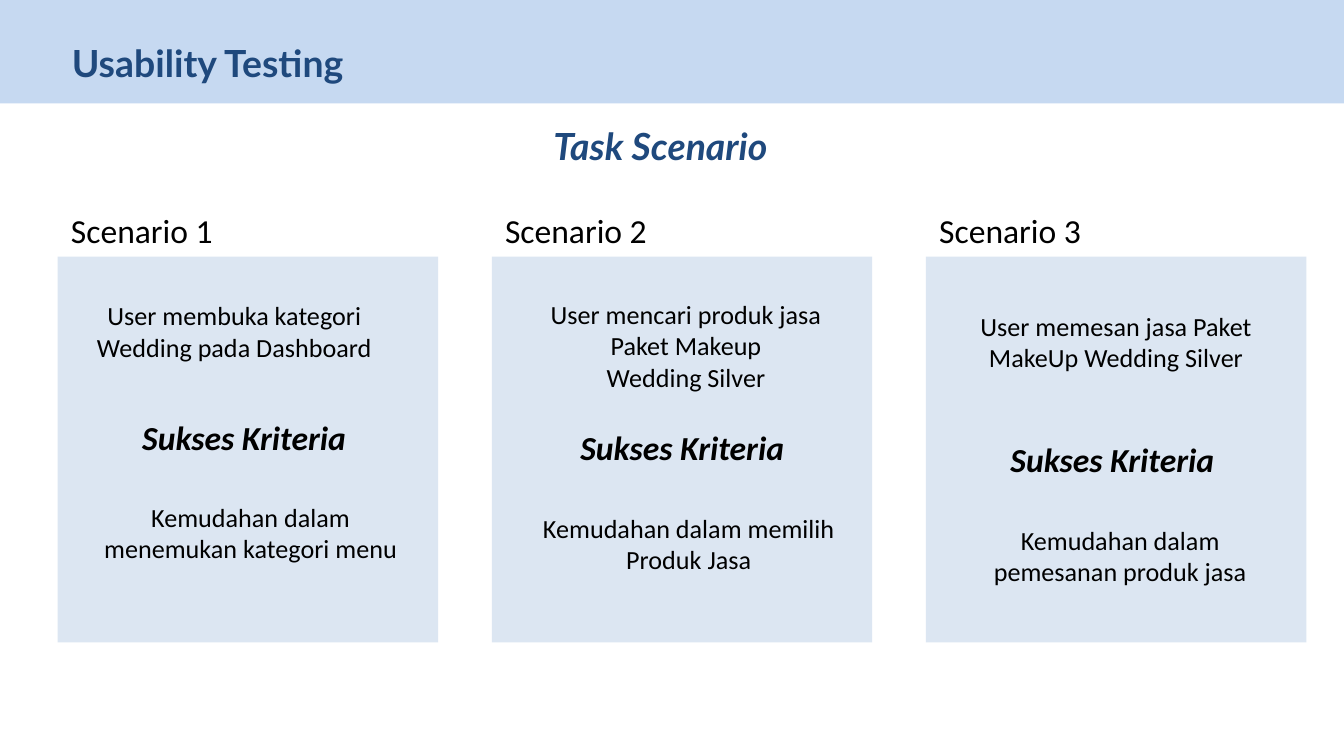
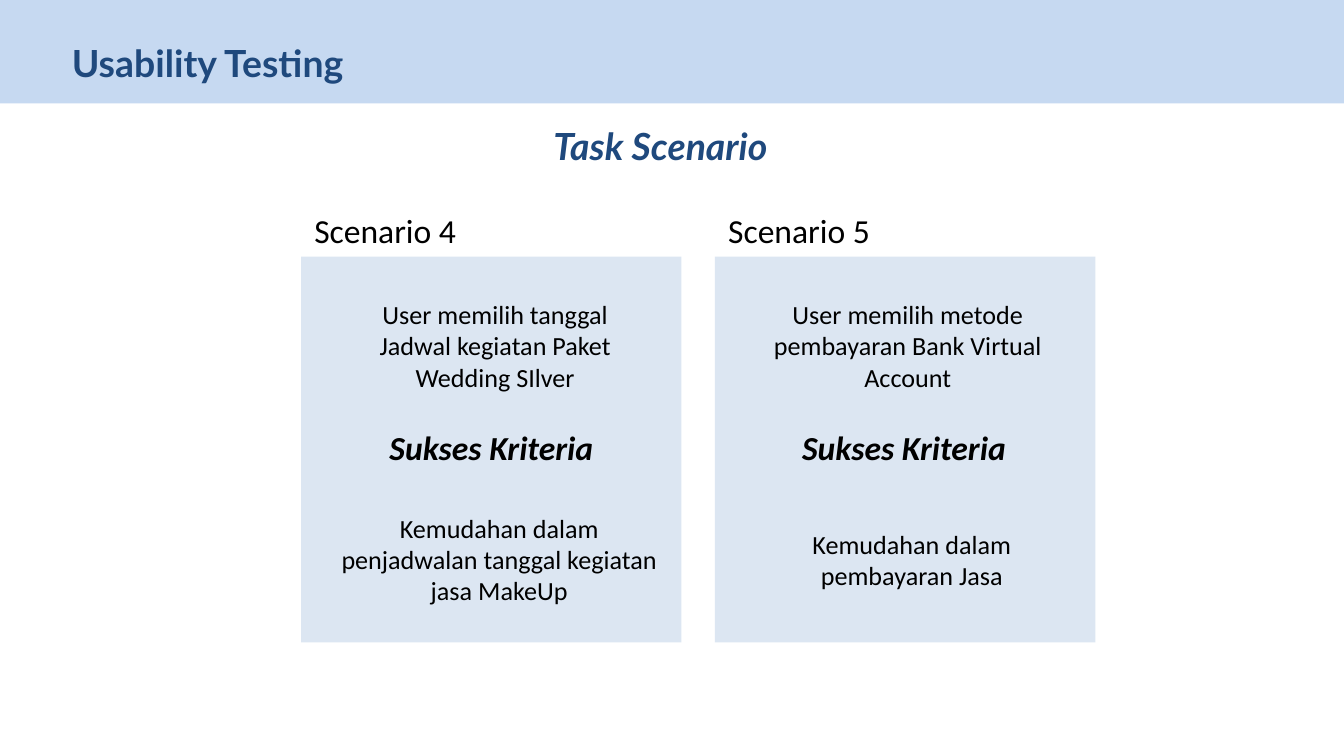
from pptx import Presentation
from pptx.dml.color import RGBColor
from pptx.enum.shapes import MSO_SHAPE as SHAPE
from pptx.enum.text import MSO_AUTO_SIZE as AUTO, PP_ALIGN as ALIGN
from pptx.util import Inches, Pt

BAND, CARD, NAVY, BLACK = "C6D9F1", "DCE6F2", "1F497D", "000000"
TITLE = {"name": "Lato", "size": Pt(20), "bold": True}
SUBTITLE = {**TITLE, "italic": True}
LABEL = {"name": "Calibri", "size": Pt(18)}
HEADING = {**LABEL, "bold": True, "italic": True}
BODY = {"name": "Calibri", "size": Pt(14)}
CARD_TOP, CARD_W, CARD_H = 1.91, 2.83, 2.87
LABEL_H = 0.4

# Each slide: left of the first card, step between cards, cards.
# Each card: label, then (x offset in card, top, width, height, lines) of
# the task, (x offset, top) of the heading, and the criterion like the task.
SLIDES = [
    (0.43, 3.23, [
        ("Scenario 1",
         (0.18, 2.18, 2.27, 0.57, ["User membuka kategori", "Wedding pada Dashboard"]),
         (0.53, 3.05),
         (0.14, 3.68, 2.59, 0.57, ["Kemudahan dalam menemukan kategori menu"])),
        ("Scenario 2",
         (0.13, 2.17, 2.63, 0.81, ["User mencari produk jasa Paket Makeup", "Wedding Silver"]),
         (0.56, 3.13),
         (0.17, 3.76, 2.59, 0.57, ["Kemudahan dalam memilih Produk Jasa"])),
        ("Scenario 3",
         (0.10, 2.26, 2.63, 0.57, ["User memesan jasa Paket MakeUp Wedding Silver"]),
         (0.53, 3.22),
         (0.15, 3.85, 2.59, 0.57, ["Kemudahan dalam pemesanan produk jasa"])),
    ]),
    (2.24, 3.08, [
        ("Scenario 4",
         (0.13, 2.17, 2.63, 0.81, ["User memilih tanggal", "Jadwal kegiatan Paket Wedding SIlver"]),
         (0.56, 3.13),
         (0.18, 3.76, 2.59, 0.81, ["Kemudahan dalam penjadwalan tanggal kegiatan jasa MakeUp"])),
        ("Scenario 5",
         (0.12, 2.17, 2.63, 0.81, ["User memilih metode pembayaran Bank Virtual Account"]),
         (0.55, 3.13),
         (0.17, 3.88, 2.59, 0.57, ["Kemudahan dalam pembayaran Jasa"])),
    ]),
]


def add_rect(s, x, y, w, h, color):
    sp = s.shapes.add_shape(SHAPE.RECTANGLE, Inches(x), Inches(y), Inches(w), Inches(h))
    sp.shadow.inherit = False
    sp.fill.solid()
    sp.fill.fore_color.rgb = RGBColor.from_string(color)
    sp.line.fill.background()


def add_text(s, x, y, w, h, lines, fmt, color=BLACK, align=ALIGN.LEFT, wrap=True, after=0):
    tf = s.shapes.add_textbox(Inches(x), Inches(y), Inches(w), Inches(h)).text_frame
    tf.word_wrap = wrap
    tf.auto_size = AUTO.SHAPE_TO_FIT_TEXT
    for i, line in enumerate(lines):
        p = tf.add_paragraph() if i else tf.paragraphs[0]
        p.alignment = align
        p.space_after = Pt(after)
        r = p.add_run()
        r.text = line
        for key, value in fmt.items():
            setattr(r.font, key, value)
        r.font.color.rgb = RGBColor.from_string(color)


prs = Presentation()
prs.slide_width = Inches(10)
prs.slide_height = prs.slide_width * 9 // 16

for first_left, step, cards in SLIDES:
    s = prs.slides.add_slide(prs.slide_layouts[6])
    add_rect(s, 0, 0, 10, 0.77, BAND)
    add_text(s, -1.41, 0.25, 5.91, 0.44, ["Usability Testing"], TITLE, NAVY, ALIGN.CENTER, after=6)
    add_text(s, 4.02, 0.87, 1.97, 0.44, ["Task Scenario"], SUBTITLE, NAVY, after=6)

    for i, (label, task, (heading_dx, heading_top), criterion) in enumerate(cards):
        left = first_left + i * step
        add_rect(s, left, CARD_TOP, CARD_W, CARD_H, CARD)
        add_text(s, left, CARD_TOP - LABEL_H, 1.27, LABEL_H, [label], LABEL, wrap=False)
        add_text(s, left + heading_dx, heading_top, 1.74, LABEL_H,
                 ["Sukses Kriteria"], HEADING, wrap=False)
        for dx, top, w, h, lines in (task, criterion):
            add_text(s, left + dx, top, w, h, lines, BODY, align=ALIGN.CENTER)

prs.save("out.pptx")
